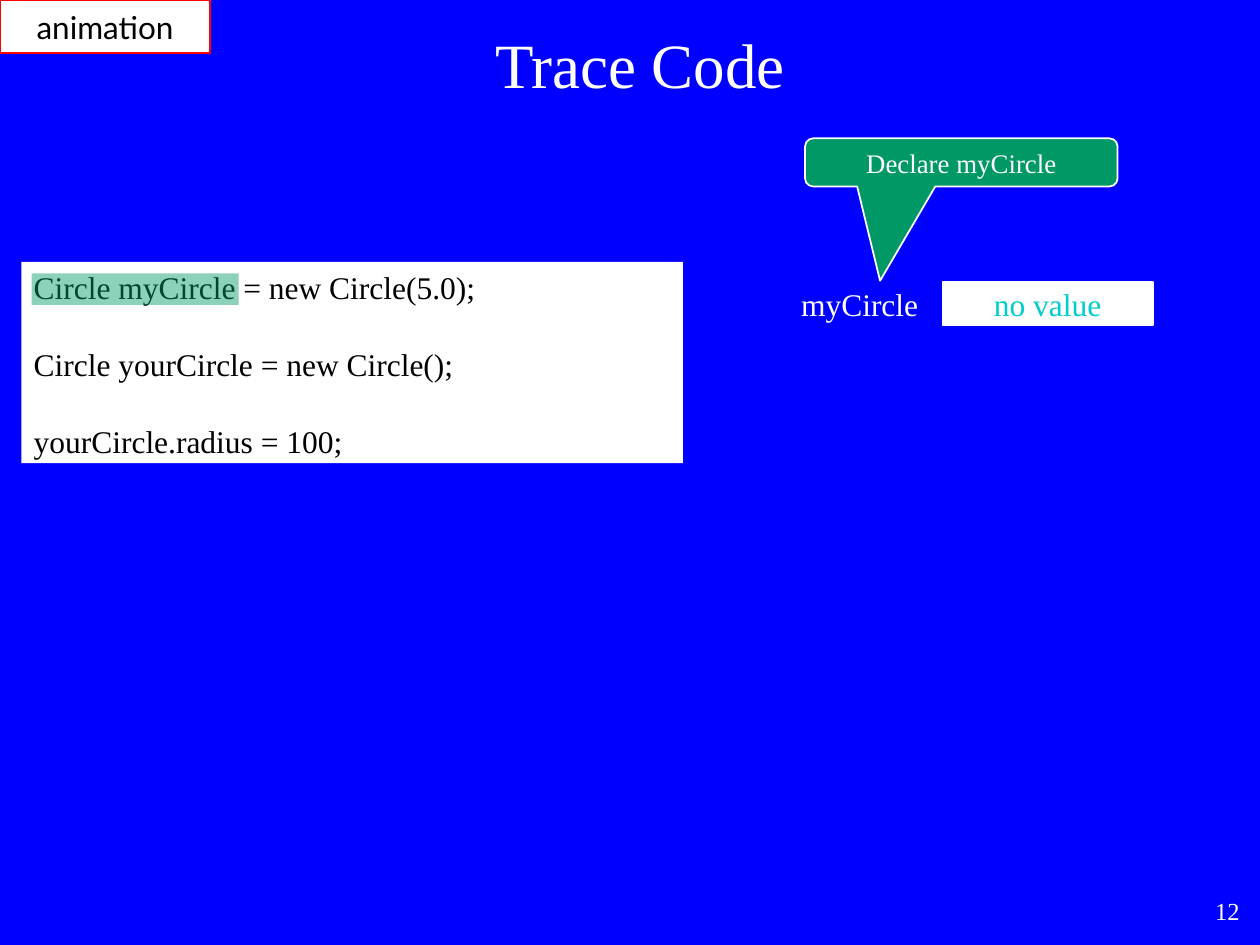
from lxml import etree
from pptx import Presentation
from pptx.dml.color import RGBColor
from pptx.enum.shapes import MSO_SHAPE
from pptx.enum.text import MSO_ANCHOR, MSO_AUTO_SIZE, PP_ALIGN
from pptx.oxml.ns import qn
from pptx.util import Cm, Pt

RECTANGLE = MSO_SHAPE.RECTANGLE
CALLOUT = MSO_SHAPE.ROUNDED_RECTANGULAR_CALLOUT
TOP, MIDDLE = MSO_ANCHOR.TOP, MSO_ANCHOR.MIDDLE
LEFT, CENTER, RIGHT = PP_ALIGN.LEFT, PP_ALIGN.CENTER, PP_ALIGN.RIGHT
NO_AUTOSIZE = MSO_AUTO_SIZE.NONE

BLUE = RGBColor(0x00, 0x00, 0xFF)
WHITE = RGBColor(0xFF, 0xFF, 0xFF)
BLACK = RGBColor(0x00, 0x00, 0x00)
GREEN = RGBColor(0x00, 0x99, 0x66)
CYAN = RGBColor(0x00, 0xCC, 0xCC)
RED = RGBColor(0xFF, 0x00, 0x00)
SERIF, SANS = "Times New Roman", "Lato"

CODE_LINES = (
    "Circle myCircle = new Circle(5.0);",
    "Circle yourCircle = new Circle();",
    "yourCircle.radius = 100;",
)


def write(shape, lines, color, size=18, font=SERIF, align=CENTER, anchor=MIDDLE, gap=0):
    """Fill a shape with one paragraph per line, separated by gap points."""
    frame = shape.text_frame
    frame.word_wrap = True
    frame.auto_size = NO_AUTOSIZE
    frame.vertical_anchor = anchor
    frame.margin_left = frame.margin_right = Cm(0.25)
    frame.margin_top = frame.margin_bottom = Cm(0.13)
    for index, line in enumerate(lines):
        para = frame.add_paragraph() if index else frame.paragraphs[0]
        para.alignment = align
        para.space_before = Pt(gap if index else 0)
        span = para.add_run()
        span.text = line
        span.font.name = font
        span.font.size = Pt(size)
        span.font.color.rgb = color


def add_panel(page, box, fill, line=None, kind=RECTANGLE):
    """Add a flat filled shape with an optional thin outline."""
    panel = page.shapes.add_shape(kind, *(Cm(value) for value in box))
    panel.shadow.inherit = False
    panel.fill.solid()
    panel.fill.fore_color.rgb = fill
    if line is None:
        panel.line.fill.background()
    else:
        panel.line.color.rgb = line
        panel.line.width = Pt(1)
    return panel


def add_label(page, box, text, **style):
    """Add a white single-line text box."""
    label = page.shapes.add_textbox(*(Cm(value) for value in box))
    write(label, [text], WHITE, **style)


def place_title(page, box, text):
    """Move the title placeholder into the box and format it."""
    title = page.shapes.title
    title.left, title.top, title.width, title.height = (Cm(value) for value in box)
    write(title, [text], WHITE, size=36)


def place_code(page, box):
    """Place the code listing and the highlight over its first declaration."""
    left, top, _, _ = box
    code = add_panel(page, box, WHITE)
    write(code, CODE_LINES, BLACK, align=LEFT, anchor=TOP, gap=22.4)
    highlight = add_panel(page, (left + 0.21, top + 0.23, 4.17, 0.64), GREEN, WHITE)
    highlight.line.fill.background()
    color = highlight.fill._xPr.find(qn("a:solidFill"))[0]
    etree.SubElement(color, qn("a:alpha")).set("val", "45000")


def place_variable(page, box):
    """Place the callout above the variable name and its value cell."""
    left, top, width, _ = box
    callout = add_panel(page, (left + 0.33, top, 6.3, 0.97), GREEN, WHITE, CALLOUT)
    for index, value in enumerate((-0.26, 2.46, 0.17)):
        callout.adjustments[index] = value
    write(callout, ["Declare myCircle"], WHITE, size=15.3, anchor=TOP)
    value_width = 4.24
    cell = add_panel(page, (left + width - value_width, top + 2.9, value_width, 0.86), WHITE, WHITE)
    write(cell, ["no value"], CYAN)
    add_label(page, (left, top + 2.82, 3.15, 1.02), "myCircle", align=LEFT, anchor=TOP)


def place_tag(page, box):
    """Place the outlined tag in the corner."""
    write(add_panel(page, box, WHITE, RED), ["animation"], BLACK, font=SANS)


def build():
    """Build the slide and save the deck."""
    deck = Presentation()
    deck.slide_width, deck.slide_height = Cm(25.4), Cm(19.05)
    page = deck.slides.add_slide(deck.slide_layouts[5])
    page.background.fill.solid()
    page.background.fill.fore_color.rgb = BLUE
    add_label(page, (19.96, 17.73, 5.28, 1.27), "12", size=14, align=RIGHT)
    place_title(page, (2.11, 0.43, 21.59, 1.7), "Trace Code")
    place_code(page, (0.43, 5.28, 13.34, 4.06))
    place_variable(page, (15.9, 2.79, 7.34, 3.84))
    place_tag(page, (0, 0, 4.24, 1.07))
    deck.save("out.pptx")


build()
